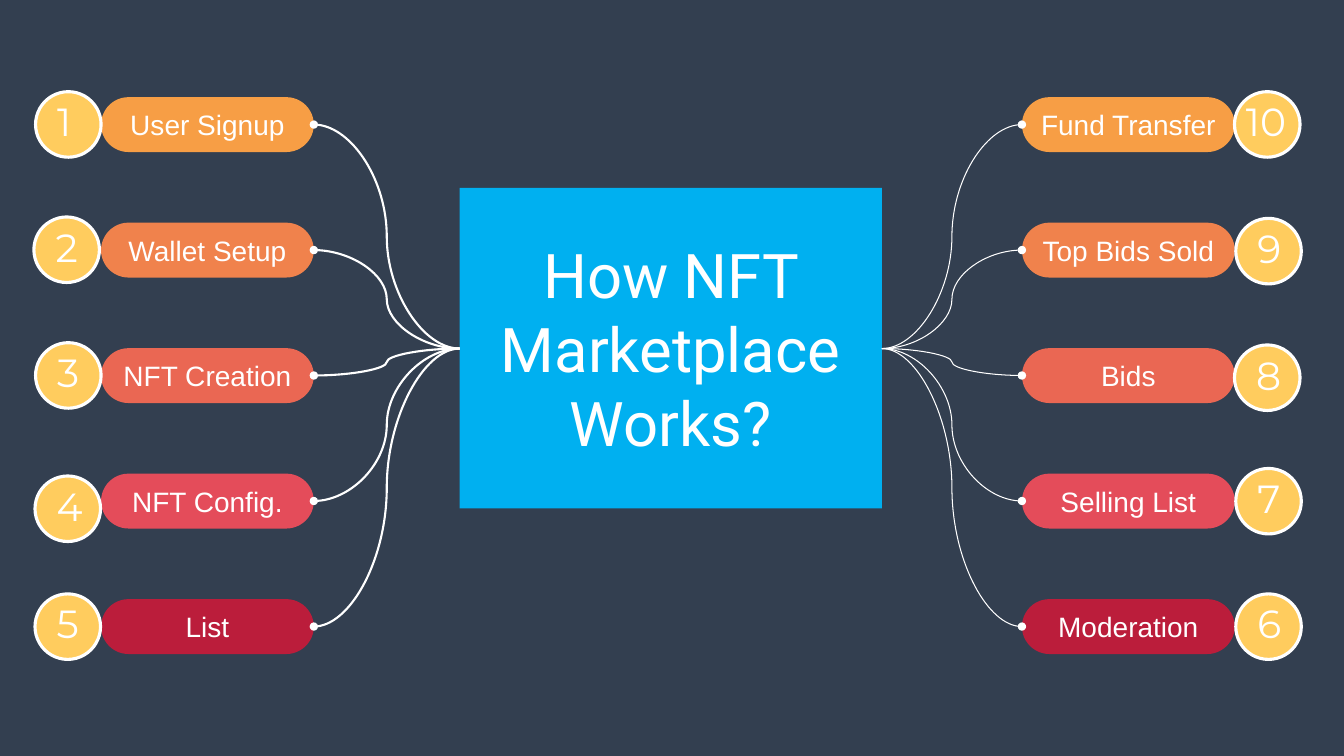
from dataclasses import dataclass

from lxml.etree import SubElement
from pptx import Presentation
from pptx.dml.color import RGBColor
from pptx.enum.shapes import MSO_CONNECTOR, MSO_SHAPE
from pptx.enum.text import MSO_ANCHOR, MSO_AUTO_SIZE, PP_ALIGN
from pptx.oxml.ns import qn
from pptx.util import Pt


@dataclass(frozen=True)
class Theme:
    background: str = "333F50"
    hub: str = "00B0F0"
    badge: str = "FFCC5E"
    light: str = "FFFFFF"
    rows: tuple = ("F79E45", "F0824C", "EA6753", "E44C5A", "BB1D3B")
    title_font: str = "Roboto"
    step_font: str = "Arial"
    number_font: str = "Montserrat"
    title_size: int = 44
    step_size: int = 20
    number_size: int = 28


class MindMap:
    def __init__(self, slide, theme):
        self.slide = slide
        self.theme = theme
        self.paint(slide.background.fill, theme.background)

    def paint(self, fill, color):
        fill.solid()
        fill.fore_color.rgb = RGBColor.from_string(color)

    def set_text(self, frame, text, font, size, align=PP_ALIGN.CENTER, anchor=MSO_ANCHOR.MIDDLE, left=0):
        frame.word_wrap = True
        frame.auto_size = MSO_AUTO_SIZE.NONE
        frame.vertical_anchor = anchor
        frame.margin_left = Pt(left)
        frame.margin_top = frame.margin_right = frame.margin_bottom = 0
        paragraph = frame.paragraphs[0]
        paragraph.text = text
        paragraph.alignment = align
        paragraph.font.name = font
        paragraph.font.size = Pt(size)
        paragraph.font.color.rgb = RGBColor.from_string(self.theme.light)

    def shape(self, shapes, preset, bounds, color):
        shape = shapes.add_shape(preset, *map(Pt, bounds))
        shape.shadow.inherit = False
        self.paint(shape.fill, color)
        shape.line.fill.background()
        return shape

    def hub(self, bounds, text):
        title = self.slide.shapes.title
        title.left, title.top, title.width, title.height = map(Pt, bounds)
        outline = SubElement(title.element.spPr, qn("a:prstGeom"), prst="roundRect")
        SubElement(outline, qn("a:avLst"))
        self.paint(title.fill, self.theme.hub)
        self.set_text(title.text_frame, text, self.theme.title_font, self.theme.title_size)

    def step(self, bounds, text, color):
        pill = self.shape(self.slide.shapes, MSO_SHAPE.ROUNDED_RECTANGLE, bounds, color)
        pill.adjustments[0] = 0.5
        self.set_text(pill.text_frame, text, self.theme.step_font, self.theme.step_size)

    def branch(self, start, end, width):
        curve = self.slide.shapes.add_connector(MSO_CONNECTOR.CURVE, *map(Pt, start + end))
        curve.line.color.rgb = RGBColor.from_string(self.theme.light)
        curve.line.width = Pt(width)
        properties = curve.element.spPr
        SubElement(properties.find(qn("a:ln")), qn("a:headEnd"), type="oval")
        SubElement(properties, qn("a:effectLst"))

    def badge(self, left, top, number):
        shapes = self.slide.shapes.add_group_shape().shapes
        circle = self.shape(shapes, MSO_SHAPE.OVAL, (left, top, 46.8, 46.8), self.theme.badge)
        circle.line.color.rgb = RGBColor.from_string(self.theme.light)
        circle.line.width = Pt(2.25)
        label = shapes.add_textbox(*map(Pt, (left + 8.2, top + 4.2, 31, 39)))
        indent = 7.3 if number < 10 else 0
        self.set_text(label.text_frame, str(number), self.theme.number_font, self.theme.number_size,
                      PP_ALIGN.LEFT, MSO_ANCHOR.TOP, indent)


@dataclass(frozen=True)
class Side:
    steps: tuple
    numbers: range
    pill_left: float
    branch_x: float
    hub_x: float
    branch_width: float
    badge_spots: tuple


PILL_WIDTH, PILL_HEIGHT = 152, 39.2
FIRST_TOP, ROW_PITCH = 69.4, 89.64
HUB_LEFT, HUB_TOP, HUB_WIDTH, HUB_HEIGHT = 328.4, 134.2, 301.6, 229
BRANCH_Y = 249
LEFT_PILL, RIGHT_PILL = 72.2, 730

SIDES = (
    Side(("User Signup", "Wallet Setup", "NFT Creation", "NFT Config.", "List"),
         range(1, 6), LEFT_PILL, LEFT_PILL + PILL_WIDTH, HUB_LEFT, 1.5,
         ((25.4, 65.5), (24.2, 155), (25.4, 244.8), (25, 340), (25, 424.2))),
    Side(("Fund Transfer", "Top Bids Sold", "Bids", "Selling List", "Moderation"),
         range(10, 5, -1), RIGHT_PILL, RIGHT_PILL, HUB_LEFT + HUB_WIDTH, 0.75,
         ((881.8, 65.5), (882.7, 156), (881.8, 246.4), (882.7, 334.6), (882.7, 424.2))),
)


def main():
    theme = Theme()
    deck = Presentation()
    deck.slide_width, deck.slide_height = Pt(960), Pt(540)
    mind_map = MindMap(deck.slides.add_slide(deck.slide_layouts[5]), theme)
    mind_map.hub((HUB_LEFT, HUB_TOP, HUB_WIDTH, HUB_HEIGHT), "How NFT Marketplace Works?")
    for side in SIDES:
        rows = zip(side.steps, side.numbers, side.badge_spots, theme.rows)
        for row, (step, number, spot, color) in enumerate(rows):
            top = FIRST_TOP + row * ROW_PITCH
            mind_map.step((side.pill_left, top, PILL_WIDTH, PILL_HEIGHT), step, color)
            mind_map.branch((side.branch_x, top + PILL_HEIGHT / 2),
                            (side.hub_x, BRANCH_Y), side.branch_width)
            mind_map.badge(*spot, number)
    deck.save("out.pptx")


if __name__ == "__main__":
    main()
